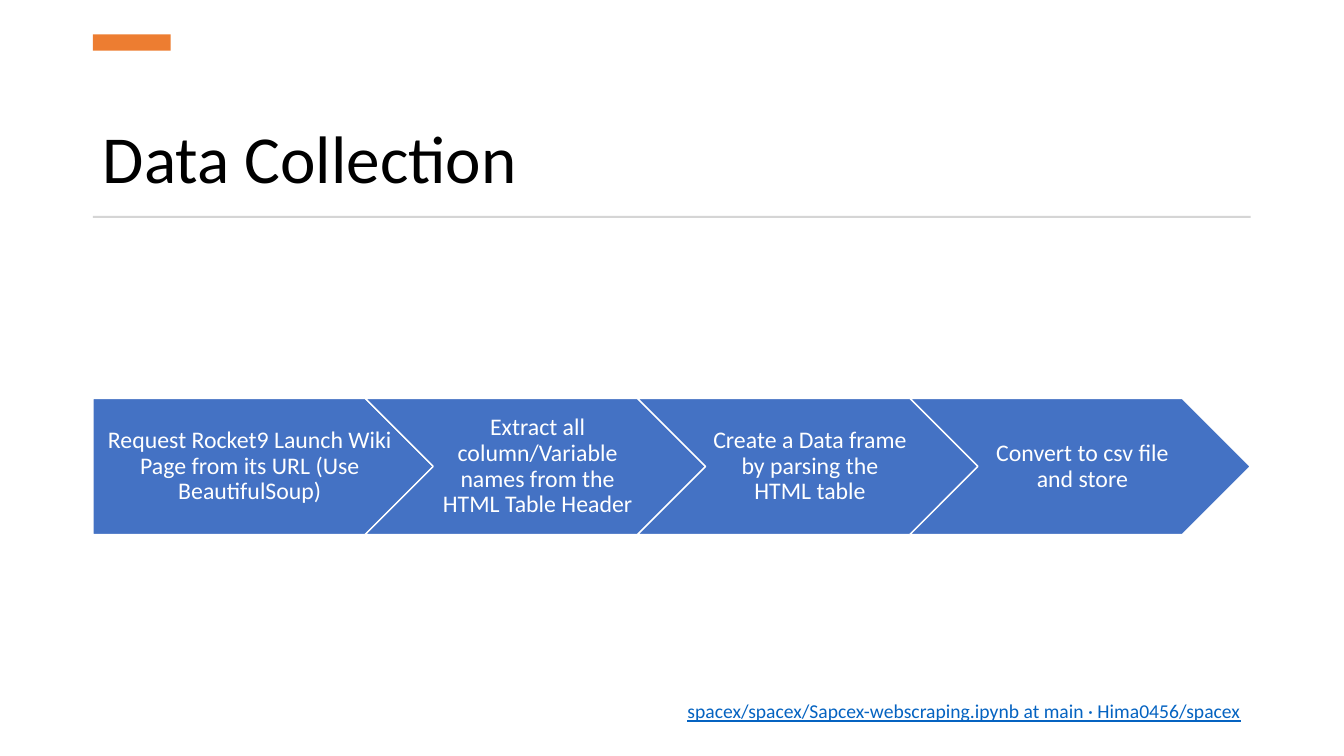
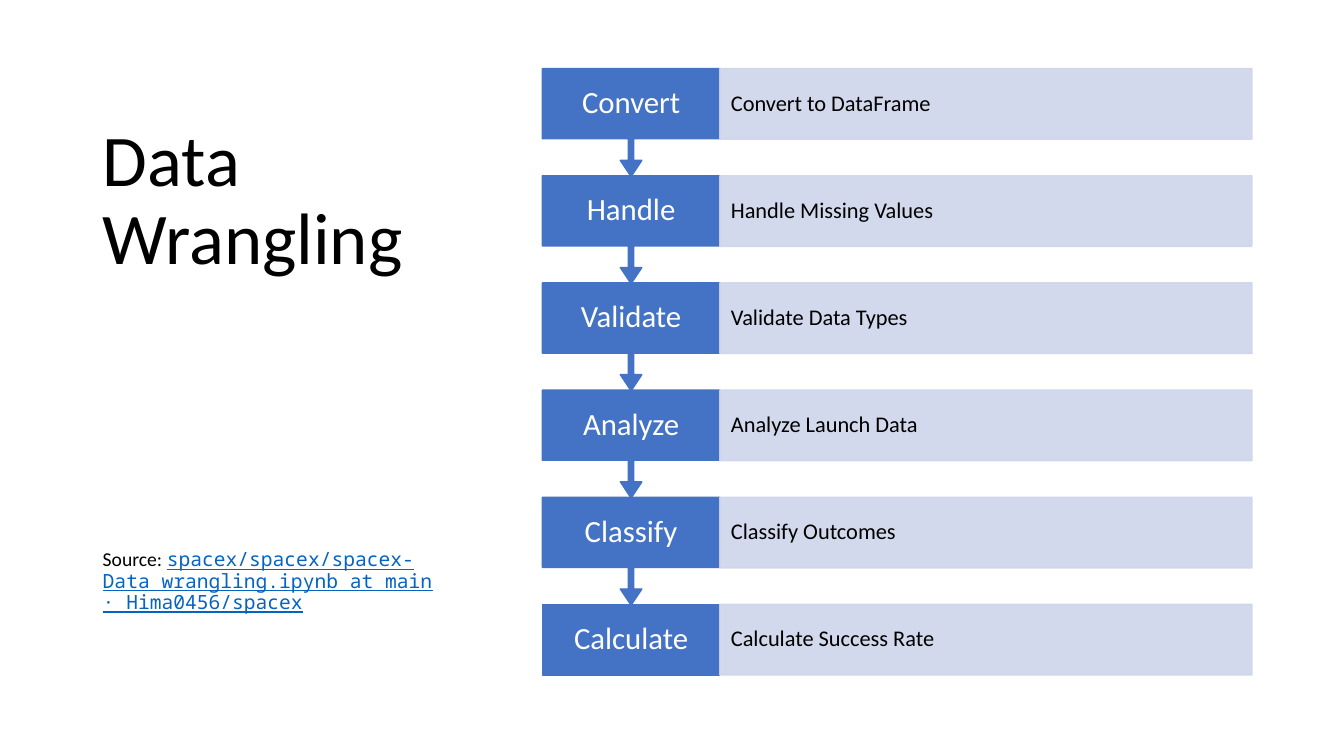
from lxml.etree import SubElement
from pptx import Presentation
from pptx.dml.color import RGBColor
from pptx.enum.shapes import MSO_SHAPE
from pptx.enum.text import MSO_ANCHOR, MSO_AUTO_SIZE, PP_ALIGN
from pptx.oxml.ns import qn
from pptx.util import Cm, Pt

BLUE = "4472C4"
PALE_BLUE = "CFD5EA"
ORANGE = "ED7D31"
GREY = "D5D5D5"
LINK = "0563C1"
BLACK = "000000"
WHITE = "FFFFFF"
FONT = "Calibri"
MONO = "Noto Sans Mono"

MARGIN = 2.34
CONTENT_WIDTH = 29.18


def color(value):
    return RGBColor.from_string(value)


def add_span(para, text, size=14, ink=BLACK, font=FONT, underline=False):
    span = para.add_run()
    span.text = text
    span.font.size = Pt(size)
    span.font.name = font
    span.font.color.rgb = color(ink)
    span.font.underline = underline


def write(frame, text, align=PP_ALIGN.LEFT, anchor=MSO_ANCHOR.MIDDLE, spacing=0.9,
          insets=(0.25, 0.13, 0.25, 0.13), **style):
    frame.word_wrap = True
    frame.auto_size = MSO_AUTO_SIZE.NONE
    frame.vertical_anchor = anchor
    sides = [Cm(inset) for inset in insets]
    frame.margin_left, frame.margin_top, frame.margin_right, frame.margin_bottom = sides
    para = frame.paragraphs[0]
    para.alignment = align
    para.line_spacing = spacing
    add_span(para, text, **style)
    return para


class Builder:
    def __init__(self):
        self.deck = Presentation()
        self.deck.slide_width = Cm(33.87)
        self.deck.slide_height = Cm(19.05)
        self.page = None

    def add_page(self, title, place, size, anchor):
        self.page = self.deck.slides.add_slide(self.deck.slide_layouts[5])
        box = self.page.shapes.title
        box.left, box.top, box.width, box.height = [Cm(length) for length in place]
        write(box.text_frame, title, size=size, anchor=anchor)

    def add_text(self, text, place, **style):
        box = self.page.shapes.add_textbox(*[Cm(length) for length in place])
        return write(box.text_frame, text, **style)

    def add_block(self, kind, place, fill, line=None, opacity=None,
                  adjustments=(), text=None, **style):
        shape = self.page.shapes.add_shape(kind, *[Cm(length) for length in place])
        shape.shadow.inherit = False
        shape.fill.solid()
        shape.fill.fore_color.rgb = color(fill)
        if line:
            shape.line.color.rgb = color(line)
            shape.line.width = Pt(1)
        else:
            shape.line.fill.background()
        for index, value in enumerate(adjustments):
            shape.adjustments[index] = value
        if opacity:
            for tint in shape._element.spPr.iter(qn("a:srgbClr")):
                SubElement(tint, qn("a:alpha"), val=str(opacity * 1000))
        if text:
            write(shape.text_frame, text, **style)


def build_collection(builder):
    builder.add_page("Data Collection", (MARGIN, 1.9, CONTENT_WIDTH, 3.23),
                     48, MSO_ANCHOR.BOTTOM)
    builder.add_block(MSO_SHAPE.RECTANGLE, (MARGIN, 0.87, 1.96, 0.41), ORANGE)
    builder.add_block(MSO_SHAPE.RECTANGLE, (MARGIN, 5.44, CONTENT_WIDTH, 0.05), GREY)
    builder.add_text("spacex/spacex/Sapcex-webscraping.ipynb at main · Hima0456/spacex",
                     (12.9, 17.15, 18.62, 1.52), ink=LINK, underline=True,
                     align=PP_ALIGN.RIGHT, spacing=1.0)
    steps = [
        "Request Rocket9 Launch Wiki Page from its URL (Use BeautifulSoup)",
        "Extract all column/Variable names from the HTML Table Header",
        "Create a Data frame by parsing the HTML table",
        "Convert to csv file and store",
    ]
    step_width = 8.58
    for index, step in enumerate(steps):
        kind = MSO_SHAPE.CHEVRON if index else MSO_SHAPE.PENTAGON
        left_inset = 0.17 if index else 0.25
        builder.add_block(kind, (MARGIN + index * step_width * 0.8, 10.04, step_width, 3.43),
                          BLUE, line=WHITE, text=step, size=17, ink=WHITE,
                          align=PP_ALIGN.CENTER, insets=(left_inset, 0.13, 0.06, 0.13))


def build_wrangling(builder):
    builder.add_page("Data Wrangling", (MARGIN, 2.98, 9.02, 4.5), 52, MSO_ANCHOR.TOP)
    para = builder.add_text("Source: ", (MARGIN, 13.73, 9.02, 2), anchor=MSO_ANCHOR.TOP)
    add_span(para, "spacex/spacex/spacex-Data wrangling.ipynb at main · Hima0456/spacex",
             ink=LINK, font=MONO, underline=True)
    steps = [
        ("Convert", "Convert to DataFrame"),
        ("Handle", "Handle Missing Values"),
        ("Validate", "Validate Data Types"),
        ("Analyze", "Analyze Launch Data"),
        ("Classify", "Classify Outcomes"),
        ("Calculate", "Calculate Success Rate"),
    ]
    left, top, pitch = 13.67, 1.73, 2.7
    step_width, row_height, callout_height = 4.47, 1.78, 2.72
    for index, (step, detail) in enumerate(steps):
        row_top = top + index * pitch
        if index < len(steps) - 1:
            kind, height = MSO_SHAPE.DOWN_ARROW_CALLOUT, callout_height
            adjustments = (0.05, 0.1, 0.15, 0.65)
        else:
            kind, height, adjustments = MSO_SHAPE.RECTANGLE, row_height, ()
        builder.add_block(kind, (left, row_top, step_width, height), BLUE, line=BLUE,
                          adjustments=adjustments, text=step, size=22, ink=WHITE,
                          align=PP_ALIGN.CENTER, insets=(0.33, 0.43, 0.33, 0.43))
        builder.add_block(MSO_SHAPE.RECTANGLE,
                          (left + step_width, row_top, 13.41, row_height),
                          PALE_BLUE, line=PALE_BLUE, opacity=90, text=detail, size=16,
                          insets=(0.28, 0.56, 0.28, 0.56))


if __name__ == "__main__":
    builder = Builder()
    build_collection(builder)
    build_wrangling(builder)
    builder.deck.save("out.pptx")
